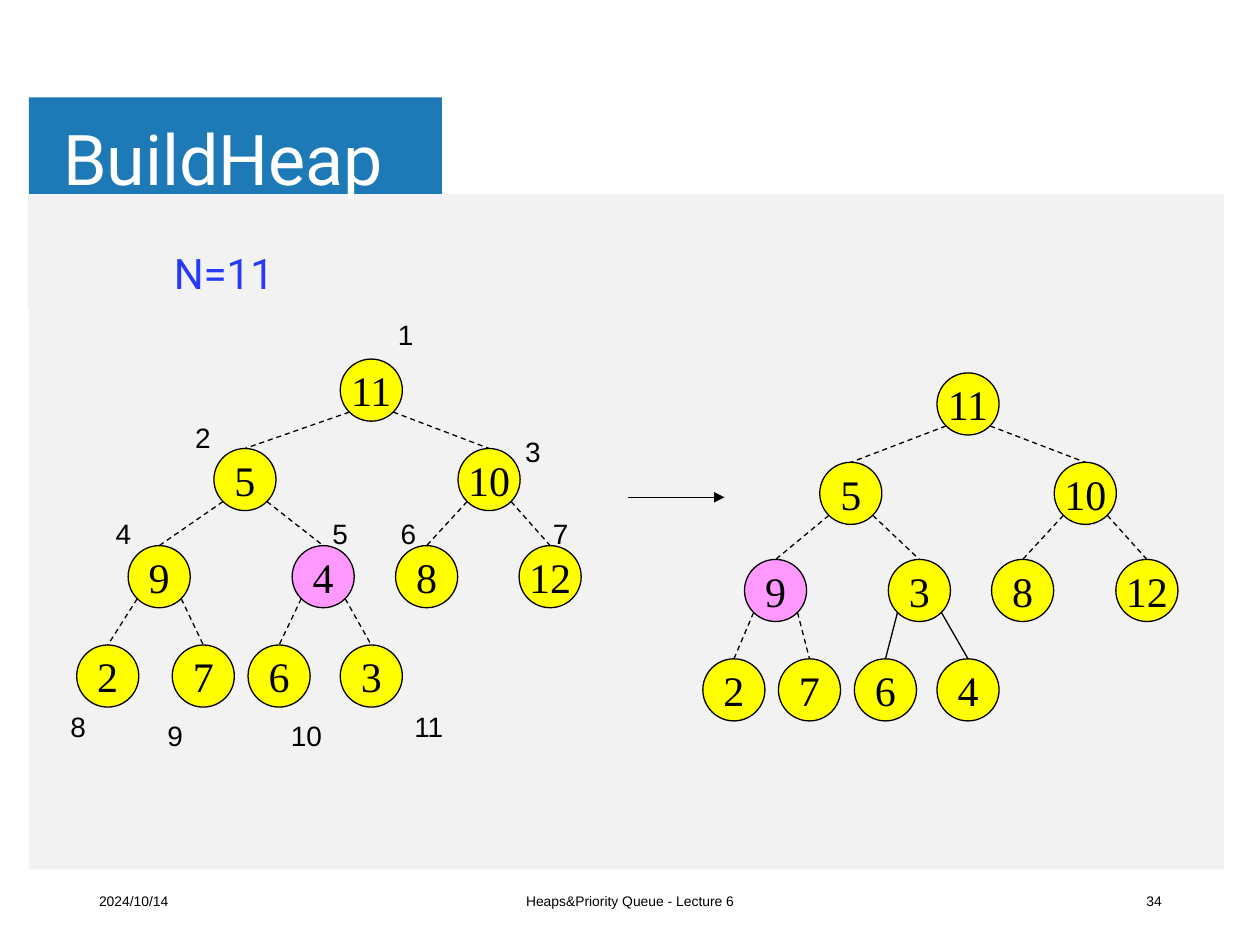
import math

from lxml import etree
from pptx import Presentation
from pptx.dml.color import RGBColor
from pptx.enum import dml, shapes, text
from pptx.oxml import ns
from pptx.util import Pt

COLORS = {"blue": "1E7AB6", "panel": "F2F2F2", "white": "FFFFFF", "black": "000000",
          "yellow": "FFFF00", "pink": "FF99FF", "note": "263AF8"}
NODE_SIZE = 35.5
LEVEL_TOPS = [205.2, 256.3, 311.8, 368.6]


def write(shape, content, size=16, font="Arial", color="black", align="LEFT",
          anchor="TOP", wrap=True):
    frame = shape.text_frame
    frame.text = content
    frame.word_wrap = wrap
    frame.auto_size = text.MSO_AUTO_SIZE.NONE
    frame.vertical_anchor = getattr(text.MSO_ANCHOR, anchor)
    paragraph = frame.paragraphs[0]
    paragraph.alignment = getattr(text.PP_ALIGN, align)
    run_font = paragraph.runs[0].font
    run_font.size = Pt(size)
    run_font.name = font
    run_font.color.rgb = RGBColor.from_string(COLORS[color])


def add_line(x1, y1, x2, y2):
    """Add a thin black connector without a shadow."""
    line = slide.shapes.add_connector(shapes.MSO_CONNECTOR.STRAIGHT, Pt(x1), Pt(y1), Pt(x2), Pt(y2))
    line.line.color.rgb = RGBColor.from_string(COLORS["black"])
    line.line.width = Pt(0.75)
    etree.SubElement(line.element.spPr, ns.qn("a:effectLst"))
    return line


presentation = Presentation()
presentation.slide_width = Pt(720)
presentation.slide_height = Pt(540)
slide = presentation.slides.add_slide(presentation.slide_layouts[5])

# Title band and content panel
for left, top, width, height, color in [(16.5, 55.7, 236, 120, "blue"),
                                        (16.5, 110.9, 683, 386, "panel")]:
    block = slide.shapes.add_shape(shapes.MSO_SHAPE.RECTANGLE, Pt(left), Pt(top), Pt(width), Pt(height))
    block.shadow.inherit = False
    block.fill.solid()
    block.fill.fore_color.rgb = RGBColor.from_string(COLORS[color])
    block.line.fill.background()

# Title, brought in front of the band
title = slide.shapes.title
title.left, title.top, title.width, title.height = Pt(31), Pt(54.7), Pt(578), Pt(70.6)
write(title, "BuildHeap", size=40, font="Roboto", color="white", anchor="MIDDLE")
title.text_frame.margin_left = title.text_frame.margin_right = Pt(5)
title.text_frame.margin_top = title.text_frame.margin_bottom = Pt(3)
title.element.getparent().append(title.element)

# Footer
for left, width, content, align in [(49.5, 162, "2024/10/14", "LEFT"),
                                    (238.5, 243, "Heaps&Priority Queue - Lecture 6", "CENTER"),
                                    (509, 162, "34", "RIGHT")]:
    box = slide.shapes.add_textbox(Pt(left), Pt(500.5), Pt(width), Pt(28.7))
    write(box, content, size=7.9, align=align, anchor="MIDDLE")

# Heaps in array order: values, node centres, vertical shift, pink value, parents with solid edges
trees = [
    ([11, 5, 10, 9, 4, 8, 12, 2, 7, 6, 3],
     [212.2, 140, 279.5, 91, 184.7, 243.8, 314.4, 61.6, 116.2, 159.5, 212.2], 0, 4, []),
    ([11, 5, 10, 9, 3, 8, 12, 2, 7, 6, 4],
     [553.2, 486.2, 620.2, 443.2, 525.4, 584.4, 655.4, 419.4, 462.6, 506, 553.2], 7.9, 9, [5]),
]
corner = NODE_SIZE / 2 * math.sqrt(0.5)
for values, centers, shift, pink_value, solid_parents in trees:
    tops = []
    for index, (value, center) in enumerate(zip(values, centers), start=1):
        top = LEVEL_TOPS[int(math.log2(index))] + shift
        tops.append(top)
        node = slide.shapes.add_shape(shapes.MSO_SHAPE.OVAL, Pt(center - NODE_SIZE / 2), Pt(top),
                                      Pt(NODE_SIZE), Pt(NODE_SIZE))
        node.shadow.inherit = False
        node.fill.solid()
        node.fill.fore_color.rgb = RGBColor.from_string(
            COLORS["pink" if value == pink_value else "yellow"])
        node.line.color.rgb = RGBColor.from_string(COLORS["black"])
        node.line.width = Pt(0.75)
        write(node, str(value), size=24, font="Times New Roman", align="CENTER",
              anchor="MIDDLE", wrap=False)
        if index == 1:
            continue
        parent = index // 2
        side = -1 if index % 2 == 0 else 1
        edge = add_line(centers[parent - 1] + side * corner,
                        tops[parent - 1] + NODE_SIZE / 2 + corner, center, top)
        edge.end_connect(node, 0)
        if parent not in solid_parents:
            edge.line.dash_style = dml.MSO_LINE.DASH

# Arrow between the heaps
arrow = add_line(358.6, 284.2, 414, 284.2)
etree.SubElement(arrow.line._get_or_add_ln(), ns.qn("a:tailEnd"), type="triangle")

# Heap size and array positions
box = slide.shapes.add_textbox(Pt(92.2), Pt(138.2), Pt(99.4), Pt(36))
write(box, "N=11", size=24, font="Roboto", color="note")

index_places = [(220.3, 177.8), (104.4, 236.9), (293, 244.8), (59, 291.6), (182.9, 291.6),
                (221.8, 291.6), (308.9, 291.6), (33.1, 401.8), (88.6, 406.8), (159.1, 406.8),
                (229.7, 401.8)]
for index, (left, top) in enumerate(index_places, start=1):
    box = slide.shapes.add_textbox(Pt(left), Pt(top), Pt(38 if index < 10 else 50), Pt(26.6))
    write(box, str(index))

presentation.save("out.pptx")
